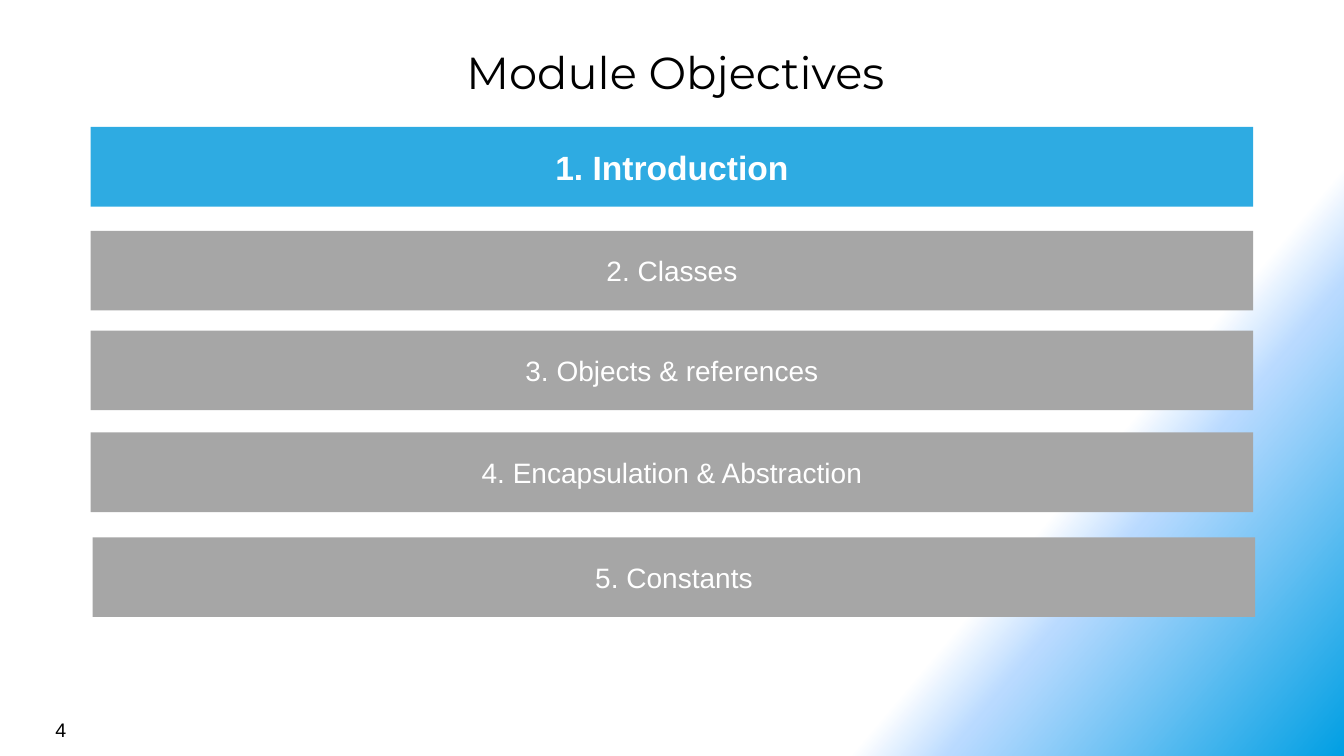
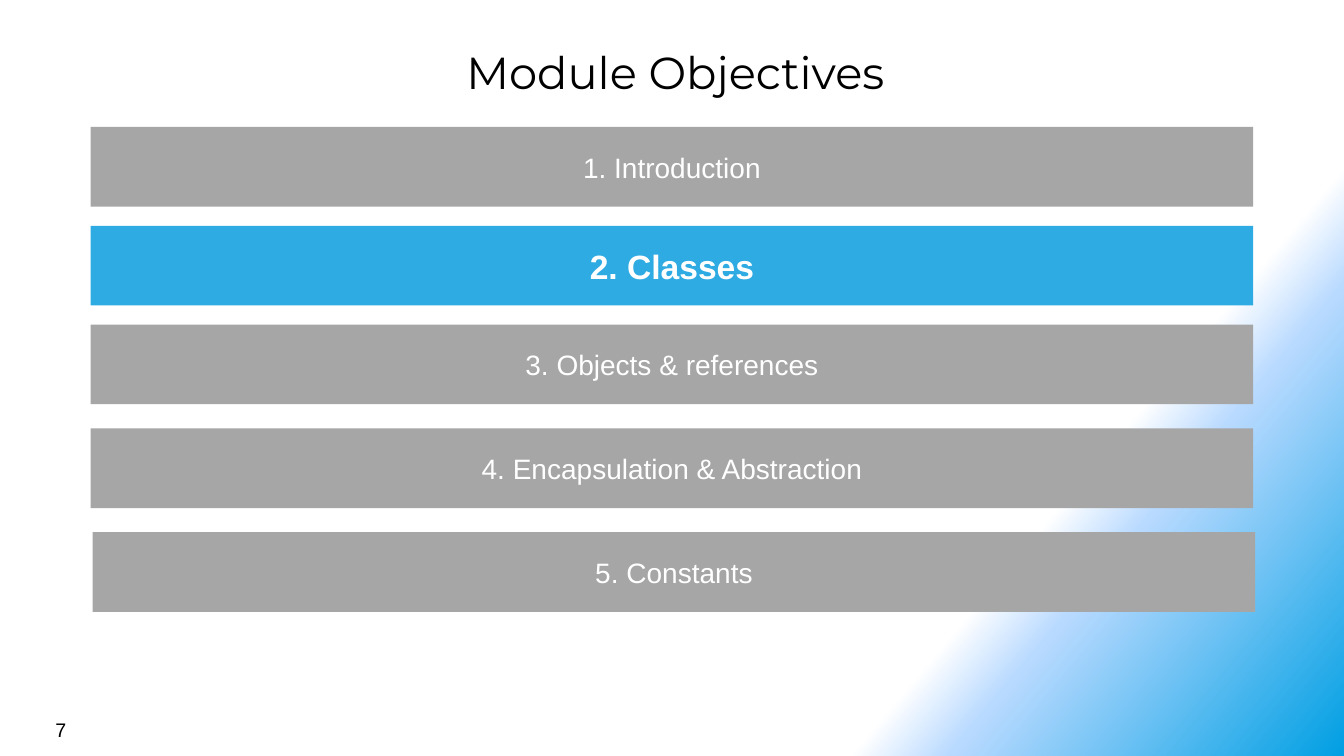
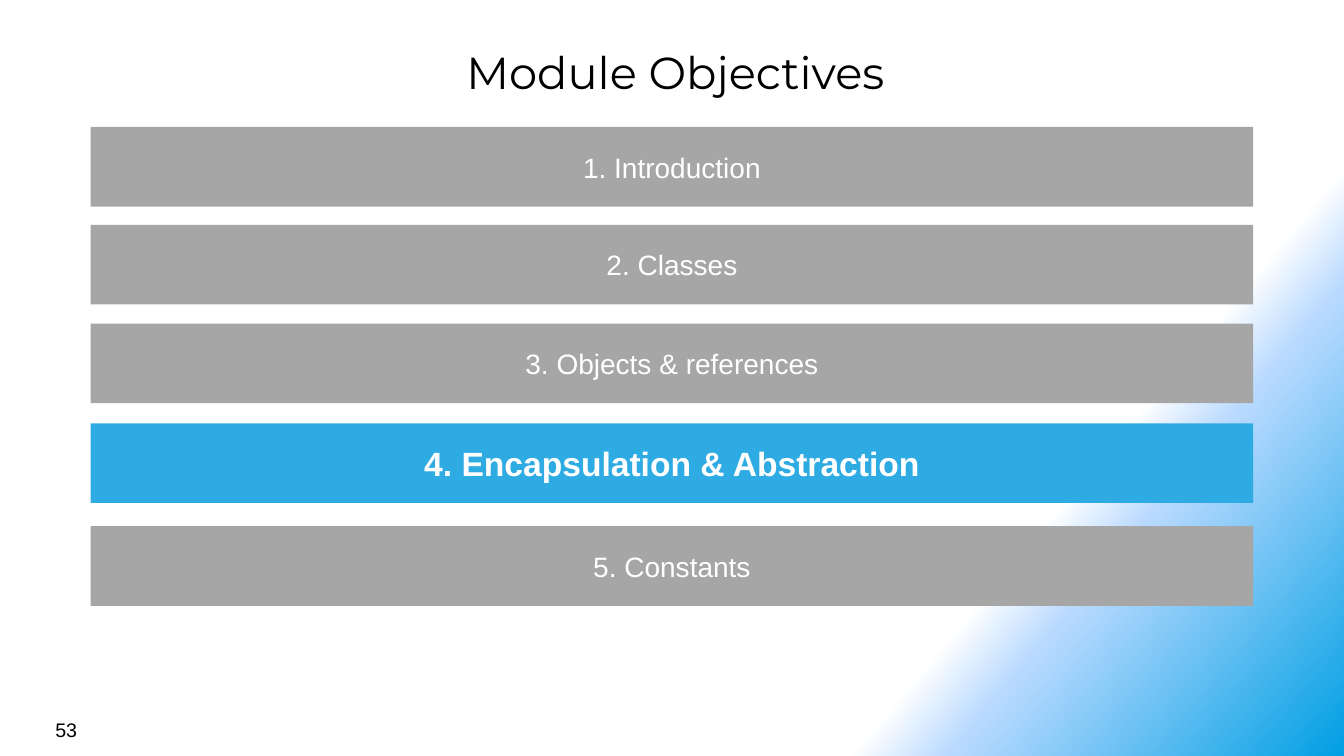
"""Build the three agenda slides of the module, each highlighting one topic."""
from lxml import etree
from pptx import Presentation
from pptx.dml.color import RGBColor
from pptx.enum.shapes import MSO_SHAPE
from pptx.enum.text import MSO_ANCHOR, MSO_AUTO_SIZE, PP_ALIGN
from pptx.oxml.ns import qn
from pptx.util import Inches, Pt

RECTANGLE = MSO_SHAPE.RECTANGLE
TOP, MIDDLE = MSO_ANCHOR.TOP, MSO_ANCHOR.MIDDLE
LEFT, CENTER = PP_ALIGN.LEFT, PP_ALIGN.CENTER
GROW = MSO_AUTO_SIZE.SHAPE_TO_FIT_TEXT

TITLE = "Module Objectives"
TOPICS = ["Introduction", "Classes", "Objects & references",
          "Encapsulation & Abstraction", "Constants"]
AGENDAS = [
    {"page": 4, "current": 1, "tops": (1.26, 2.29, 3.28, 4.29, 5.33), "last_left": 0.92},
    {"page": 7, "current": 2, "tops": (1.26, 2.24, 3.22, 4.25, 5.28), "last_left": 0.92},
    {"page": 53, "current": 4, "tops": (1.26, 2.23, 3.21, 4.2, 5.22), "last_left": 0.9},
]

COLORS = {"current": "2EABE2", "other": "A6A6A6", "bar_text": "FFFFFF", "text": "000000",
          "paper": "FFFFFF", "haze": "B9DAFF", "sky": "009FE3"}
BACKDROP = [(75, "paper", 100), (80, "haze", 50), (100, "sky", 100)]
BACKDROP_ANGLE = 40
SLIDE_W, SLIDE_H = 13.33, 7.5
BAR_LEFT, BAR_W, BAR_H = 0.9, 11.53, 0.79
TITLE_BOX = (0.67, 0.39, 12.06, 0.64)
PAGE_BOX = (0.45, 7.07, 3.11, 0.33)


def paint_backdrop(master):
    fill = master.background.fill
    fill.gradient()
    fill.gradient_angle = 360 - BACKDROP_ANGLE
    stops = master.element.find(".//" + qn("a:gsLst"))
    for stop in list(stops):
        stops.remove(stop)
    for position, color, opacity in BACKDROP:
        stop = etree.SubElement(stops, qn("a:gs"), pos=str(position * 1000))
        tint = etree.SubElement(stop, qn("a:srgbClr"), val=COLORS[color])
        if opacity < 100:
            etree.SubElement(tint, qn("a:alpha"), val=str(opacity * 1000))


def write(frame, text, size, color="text", font="Arial", bold=False,
          align=CENTER, anchor=MIDDLE):
    frame.word_wrap = True
    frame.vertical_anchor = anchor
    paragraph = frame.paragraphs[0]
    paragraph.alignment = align
    run = paragraph.add_run()
    run.text = text
    run.font.name = font
    run.font.size = Pt(size)
    run.font.bold = bold
    run.font.color.rgb = RGBColor.from_string(COLORS[color])


def add_text(slide, box, text, size, **style):
    frame = slide.shapes.add_textbox(*map(Inches, box)).text_frame
    write(frame, text, size, **style)
    return frame


def add_bar(slide, left, top, label, is_current):
    bar = slide.shapes.add_shape(RECTANGLE, *map(Inches, (left, top, BAR_W, BAR_H)))
    bar.shadow.inherit = False
    bar.fill.solid()
    bar.fill.fore_color.rgb = RGBColor.from_string(COLORS["current" if is_current else "other"])
    bar.line.fill.background()
    write(bar.text_frame, label, 24 if is_current else 20, color="bar_text", bold=is_current)


def add_agenda(deck, agenda):
    slide = deck.slides.add_slide(deck.slide_layouts[6])
    title = add_text(slide, TITLE_BOX, TITLE, 32, font="Montserrat")
    title.auto_size = GROW
    for number, (topic, top) in enumerate(zip(TOPICS, agenda["tops"]), start=1):
        left = agenda["last_left"] if number == len(TOPICS) else BAR_LEFT
        add_bar(slide, left, top, f"{number}. {topic}", number == agenda["current"])
    add_text(slide, PAGE_BOX, str(agenda["page"]), 14, align=LEFT, anchor=TOP)


def main():
    deck = Presentation()
    deck.slide_width, deck.slide_height = Inches(SLIDE_W), Inches(SLIDE_H)
    paint_backdrop(deck.slide_master)
    for agenda in AGENDAS:
        add_agenda(deck, agenda)
    deck.save("out.pptx")


if __name__ == "__main__":
    main()
